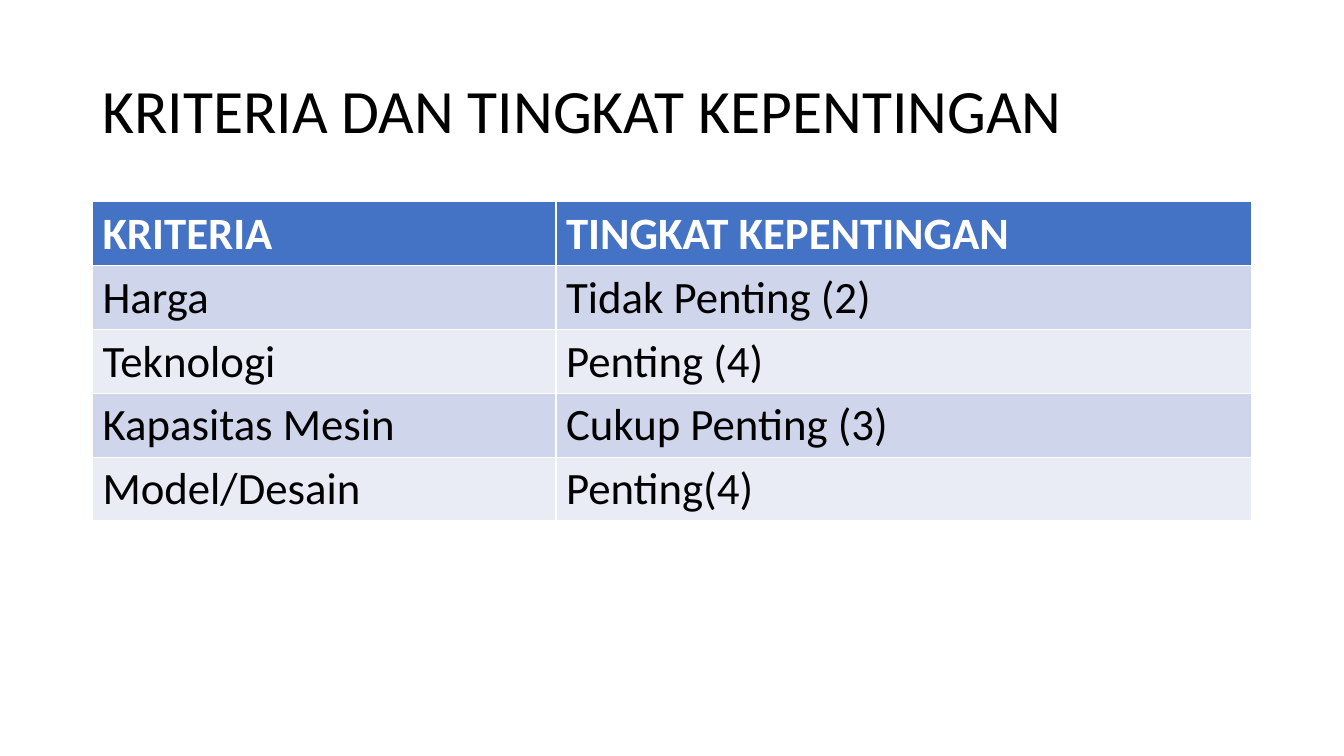
import pptx
import pptx.dml.color
import pptx.enum.text
import pptx.util
from pptx.util import Cm


def color(value):
    return pptx.dml.color.RGBColor.from_string(value)


def write(tf, text, size=32, fill="000000", bold=False, spacing=1.0):
    p = tf.paragraphs[0]
    p.line_spacing = spacing
    r = p.add_run()
    r.text = text
    r.font.name = "Calibri"
    r.font.size = pptx.util.Pt(size)
    r.font.bold = bold
    r.font.color.rgb = color(fill)


prs = pptx.Presentation()
prs.slide_width, prs.slide_height = Cm(33.87), Cm(19.05)
s = prs.slides.add_slide(prs.slide_layouts[6])
left, width = Cm(2.33), Cm(29.21)

# Title
sp = s.shapes.add_textbox(left, Cm(1.01), width, Cm(3.68))
tf = sp.text_frame
tf.word_wrap = True
tf.vertical_anchor = pptx.enum.text.MSO_ANCHOR.MIDDLE
write(tf, "KRITERIA DAN TINGKAT KEPENTINGAN", size=44, spacing=0.9)

# Criteria table; the default table style draws the white cell borders
rows = [
    ("KRITERIA", "TINGKAT KEPENTINGAN"),
    ("Harga", "Tidak Penting (2)"),
    ("Teknologi", "Penting (4)"),
    ("Kapasitas Mesin", "Cukup Penting (3)"),
    ("Model/Desain", "Penting(4)"),
]
row_height = Cm(1.61)
table = s.shapes.add_table(len(rows), 2, left, Cm(5.08), width, row_height * len(rows)).table
table.columns[0].width = Cm(11.68)
table.columns[1].width = Cm(17.53)

for i, texts in enumerate(rows):
    table.rows[i].height = row_height
    header = i == 0
    band = "4472C4" if header else ("E9EBF5", "CFD5EA")[i % 2]
    for j, text in enumerate(texts):
        cell = table.cell(i, j)
        cell.fill.solid()
        cell.fill.fore_color.rgb = color(band)
        write(cell.text_frame, text, fill="FFFFFF" if header else "000000", bold=header)

prs.save("out.pptx")
